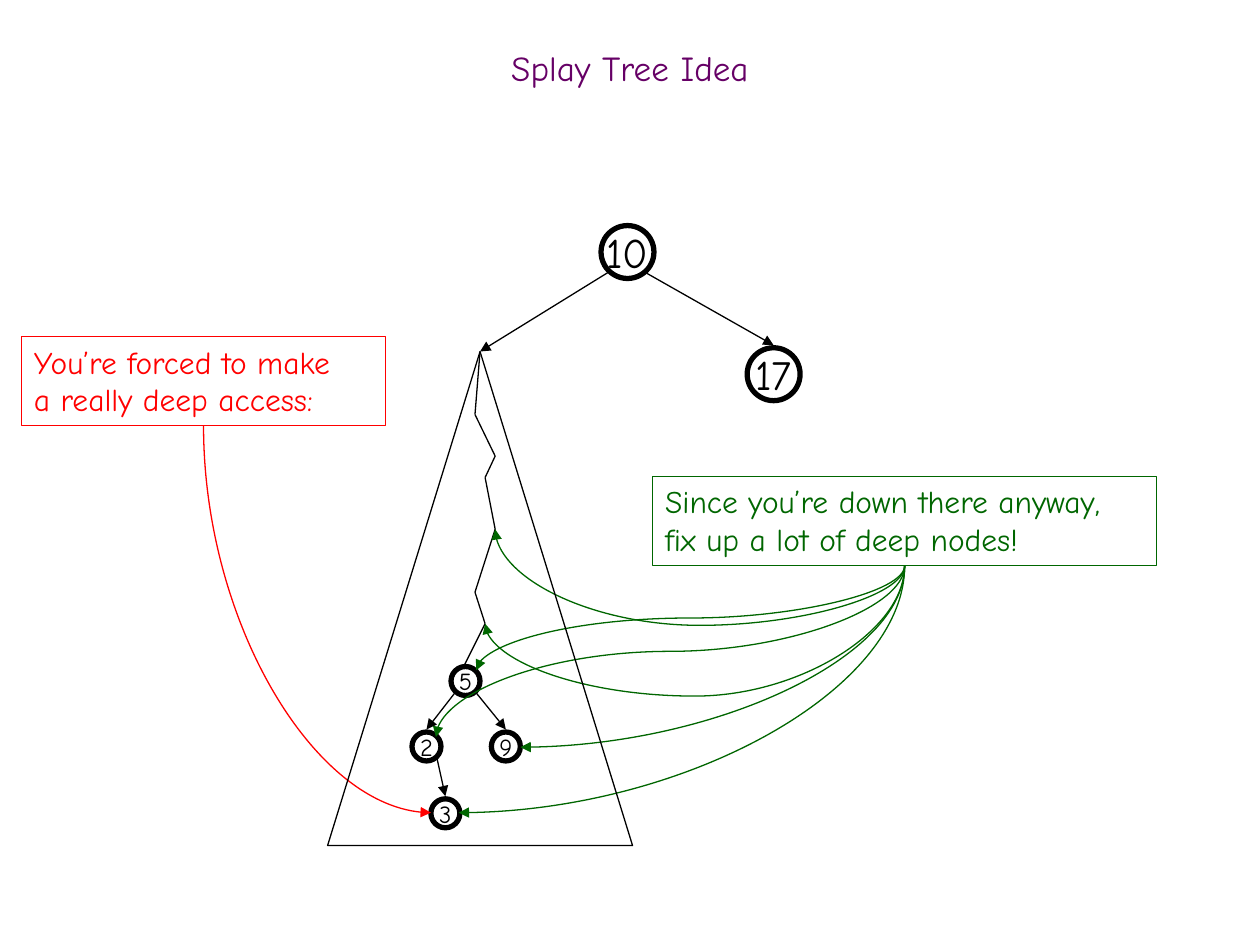
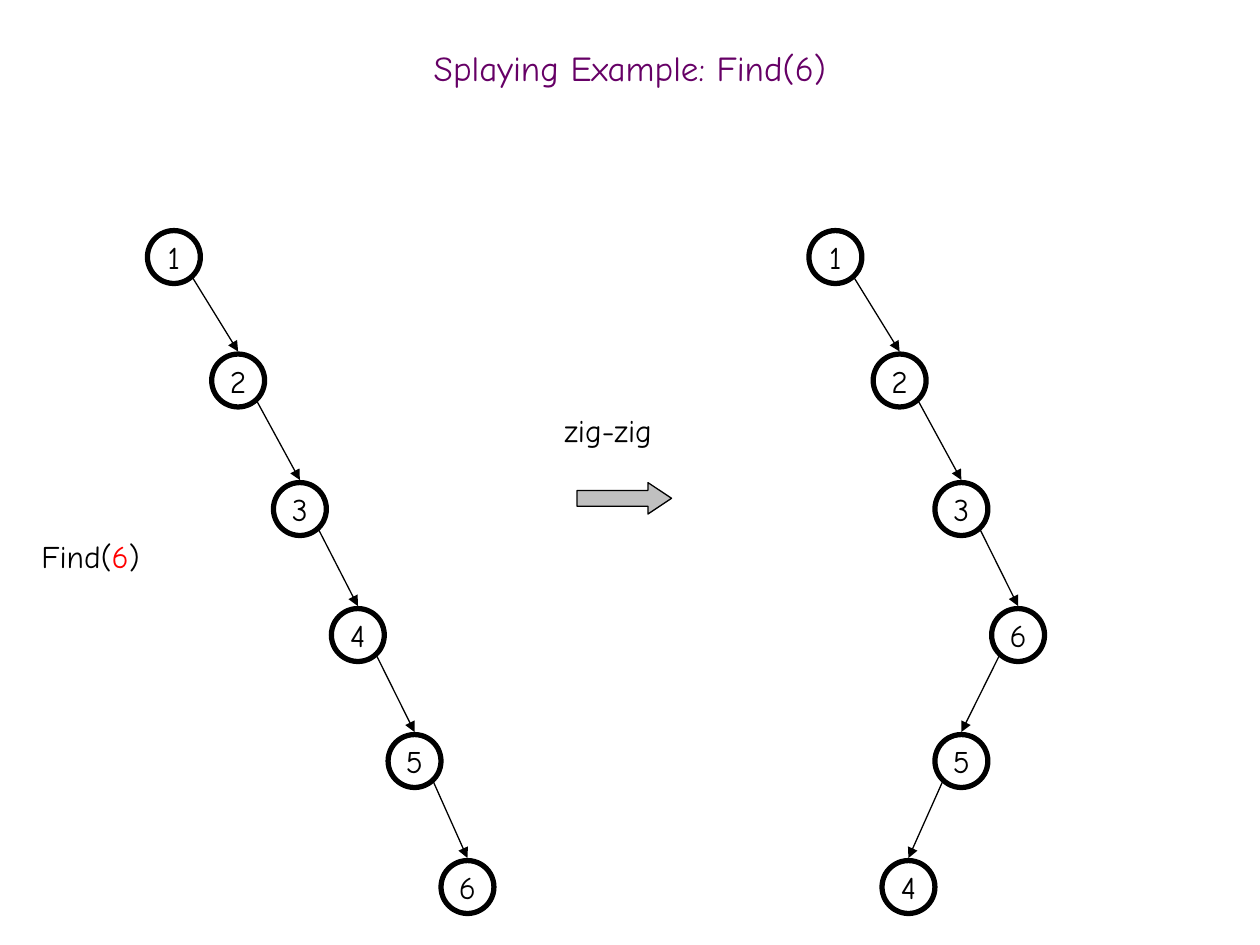
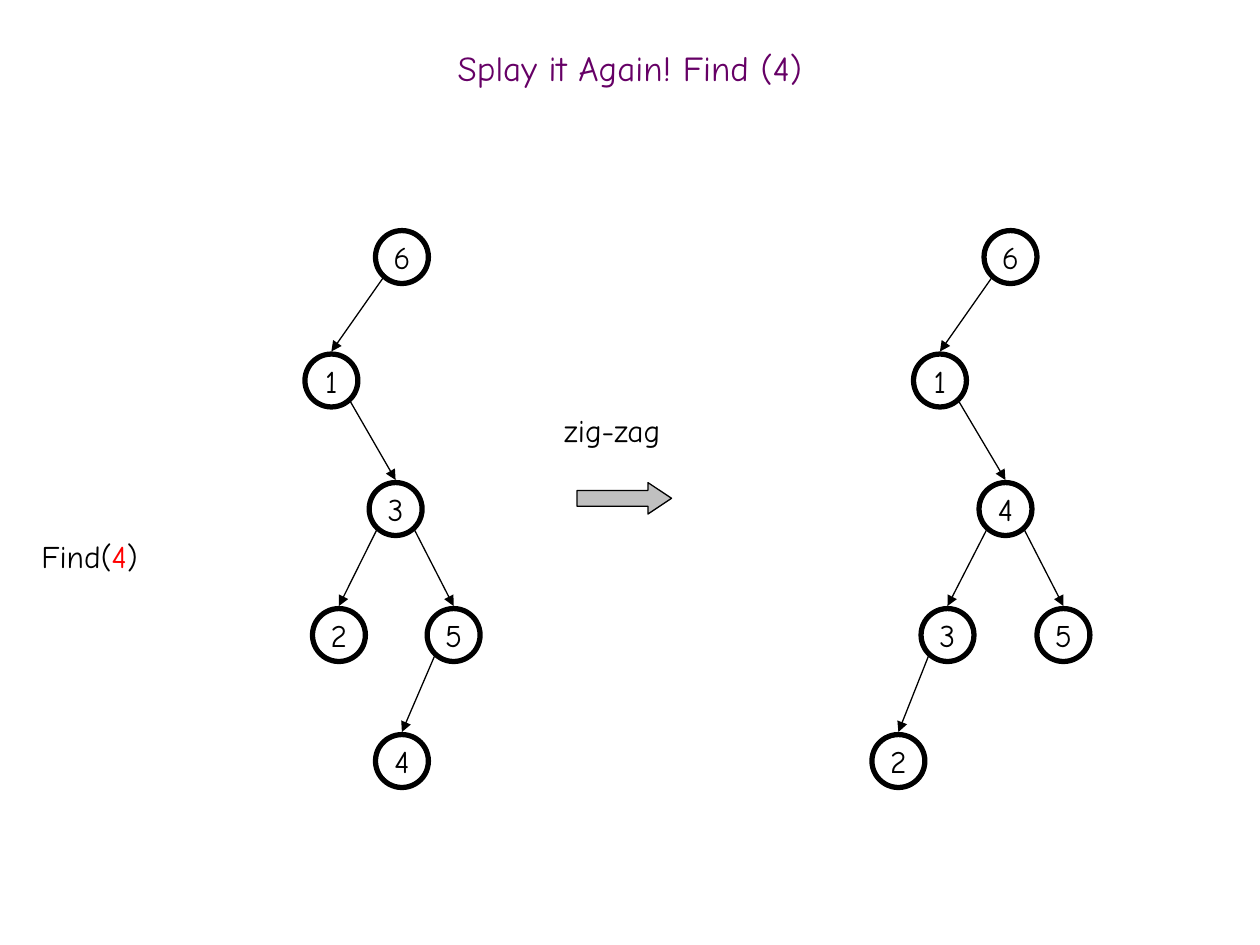
from dataclasses import dataclass
from itertools import pairwise
from typing import Optional

from lxml.etree import SubElement
from pptx import Presentation
from pptx.dml.color import RGBColor
from pptx.enum.shapes import MSO_CONNECTOR, MSO_SHAPE
from pptx.enum.text import MSO_ANCHOR, MSO_AUTO_SIZE, PP_ALIGN
from pptx.oxml.ns import qn
from pptx.util import Inches, Pt

# Shared style
FONT = "Comic Neue"
BLACK = RGBColor(0x00, 0x00, 0x00)
PURPLE = RGBColor(0x66, 0x00, 0x66)
RED = RGBColor(0xFF, 0x00, 0x00)
GREEN = RGBColor(0x00, 0x66, 0x00)
GREY = RGBColor(0xC0, 0xC0, 0xC0)
THIN, THICK = Pt(0.75), Pt(3)
BIG, SMALL = 0.42, 0.23  # node diameters
LEVELS = [1.83, 2.81, 3.83, 4.83, 5.83, 6.83]  # node tops by depth
Point = tuple[float, float]


@dataclass(frozen=True)
class Node:
    label: str
    left: float
    top: float
    parent: Optional[int] = None  # position of the parent in its tree
    size: float = BIG
    font_size: int = 18

    @property
    def center(self) -> Point:
        return self.left + self.size / 2, self.top + self.size / 2


@dataclass(frozen=True)
class Note:
    lines: str
    left: float
    top: float
    width: float
    color: RGBColor
    height: float = 0.71

    @property
    def bottom(self) -> Point:
        return self.left + self.width / 2, self.top + self.height


@dataclass(frozen=True)
class SplayStep:
    title: str
    key: str
    rotation: str
    rotation_width: float
    before: list[Node]
    after: list[Node]


# Drawing functions
def format_run(r, size: int, color: RGBColor) -> None:
    r.font.name = FONT
    r.font.size = Pt(size)
    r.font.color.rgb = color


def add_title_slide(prs, title: str):
    s = prs.slides.add_slide(prs.slide_layouts[5])
    sp = s.shapes.title
    sp.left, sp.top, sp.width, sp.height = Inches(0), Inches(0.33), Inches(10), Inches(0.5)
    tf = sp.text_frame
    tf.text = title
    tf.vertical_anchor = MSO_ANCHOR.MIDDLE
    p = tf.paragraphs[0]
    p.alignment = PP_ALIGN.CENTER
    p.line_spacing = 0.7
    format_run(p.runs[0], 20, PURPLE)
    return s


def add_outline(s, kind, left: float, top: float, width: float, height: float,
                color: RGBColor = BLACK, weight=THIN):
    sp = s.shapes.add_shape(kind, Inches(left), Inches(top), Inches(width), Inches(height))
    sp.shadow.inherit = False
    sp.fill.background()
    sp.line.color.rgb = color
    sp.line.width = weight
    return sp


def style_connector(cn, color: RGBColor, arrow: bool) -> None:
    cn.line.color.rgb = color
    cn.line.width = THIN
    if arrow:
        SubElement(cn.line._get_or_add_ln(), qn("a:tailEnd"), type="triangle")
    SubElement(cn._element.spPr, qn("a:effectLst"))


def add_line(s, start: Point, end: Point, arrow: bool = True) -> None:
    cn = s.shapes.add_connector(MSO_CONNECTOR.STRAIGHT, *map(Inches, start + end))
    style_connector(cn, BLACK, arrow)


def add_curve(s, start: Point, end: Point, color: RGBColor,
              bend: Optional[float] = None) -> None:
    """Curve that leaves vertically; with a bend it also arrives vertically."""
    dx, dy = end[0] - start[0], end[1] - start[1]
    mid_x, mid_y = start[0] + dx / 2, start[1] + dy / 2
    # The frame is turned a quarter, so width and height change places
    left, right = mid_x - abs(dy) / 2, mid_x + abs(dy) / 2
    top, bottom = mid_y - abs(dx) / 2, mid_y + abs(dx) / 2
    if (dx < 0) == (dy < 0):
        left, right = right, left
    cn = s.shapes.add_connector(MSO_CONNECTOR.CURVE, *map(Inches, (left, top, right, bottom)))
    spPr = cn._element.spPr
    spPr.find(qn("a:xfrm")).set("rot", str((90 if dx < 0 else 270) * 60000))
    geom = spPr.find(qn("a:prstGeom"))
    if bend is None:
        geom.set("prst", "curvedConnector2")
    else:
        guides = geom.find(qn("a:avLst"))
        SubElement(guides, qn("a:gd"), name="adj1", fmla=f"val {round(bend * 100000)}")
    style_connector(cn, color, True)


def add_node(s, node: Node) -> None:
    sp = add_outline(s, MSO_SHAPE.OVAL, node.left, node.top, node.size, node.size, weight=THICK)
    tf = sp.text_frame
    tf.text = node.label
    tf.word_wrap = False
    tf.vertical_anchor = MSO_ANCHOR.MIDDLE
    p = tf.paragraphs[0]
    p.alignment = PP_ALIGN.CENTER
    format_run(p.runs[0], node.font_size, BLACK)


def add_tree(s, tree: list[Node]) -> None:
    for node in tree:
        add_node(s, node)
        if node.parent is not None:
            parent = tree[node.parent]
            x, y = parent.center
            side = 1 if node.center[0] > x else -1
            start = x + side * 0.36 * parent.size, y + 0.4 * parent.size
            add_line(s, start, (node.center[0], node.top - 0.02))


def add_note(s, note: Note) -> None:
    sp = add_outline(s, MSO_SHAPE.RECTANGLE, note.left, note.top, note.width, note.height,
                     note.color)
    tf = sp.text_frame
    tf.text = note.lines
    tf.word_wrap = False
    tf.auto_size = MSO_AUTO_SIZE.SHAPE_TO_FIT_TEXT
    tf.vertical_anchor = MSO_ANCHOR.TOP
    for p in tf.paragraphs:
        p.alignment = PP_ALIGN.LEFT
        format_run(p.runs[0], 18, note.color)


def add_label(s, left: float, top: float, width: float, parts: list[tuple[str, RGBColor]]) -> None:
    sp = s.shapes.add_textbox(Inches(left), Inches(top), Inches(width), Inches(0.4))
    tf = sp.text_frame
    tf.word_wrap = False
    tf.auto_size = MSO_AUTO_SIZE.SHAPE_TO_FIT_TEXT
    for text, color in parts:
        r = tf.paragraphs[0].add_run()
        r.text = text
        format_run(r, 18, color)


# Slide 1: the idea
TOP_TREE = [
    Node("10", 4.77, 1.79, font_size=24),
    Node("17", 5.93, 2.76, 0, font_size=24),
]
DEEP_TREE = [
    Node("5", 3.58, 5.29, None, SMALL, 14),
    Node("2", 3.27, 5.81, 0, SMALL, 14),
    Node("9", 3.9, 5.81, 0, SMALL, 14),
    Node("3", 3.42, 6.34, 1, SMALL, 14),
]
ACCESS_PATH = [(3.81, 2.79), (3.77, 3.29), (3.93, 3.62), (3.85, 3.79),
               (3.93, 4.2), (3.77, 4.7), (3.85, 4.95), (3.68, 5.29)]
ACCESS_NOTE = Note("You’re forced to make\na really deep access:", 0.17, 2.67, 2.89, RED)
FIX_NOTE = Note("Since you’re down there anyway,\nfix up a lot of deep nodes!",
                5.18, 3.78, 4, GREEN)
FIXED_NODES = [  # arrow tip and bend
    ((3.64, 6.45), None),
    ((3.46, 5.85), 0.5),
    ((4.13, 5.93), None),
    ((3.78, 5.32), 0.5),
    ((3.85, 4.95), 2.25),
    ((3.93, 4.2), -1.63),
]


def build_idea(prs) -> None:
    s = add_title_slide(prs, "Splay Tree Idea")
    add_tree(s, TOP_TREE)
    add_line(s, (4.83, 2.16), ACCESS_PATH[0])
    add_tree(s, DEEP_TREE)
    add_note(s, ACCESS_NOTE)
    add_curve(s, ACCESS_NOTE.bottom, (3.42, 6.45), RED)
    for start, end in pairwise(ACCESS_PATH):
        add_line(s, start, end, arrow=False)
    add_note(s, FIX_NOTE)
    for tip, bend in FIXED_NODES:
        add_curve(s, FIX_NOTE.bottom, tip, GREEN, bend)
    add_outline(s, MSO_SHAPE.ISOSCELES_TRIANGLE, 2.6, 2.79, 2.42, 3.92)


# Slides 2 and 3: one splaying step each
STEPS = [
    SplayStep(
        "Splaying Example: Find(6)", "6", "zig-zig", 0.98,
        before=[
            Node("1", 1.17, LEVELS[0]),
            Node("2", 1.68, LEVELS[1], 0),
            Node("3", 2.17, LEVELS[2], 1),
            Node("4", 2.63, LEVELS[3], 2),
            Node("5", 3.08, LEVELS[4], 3),
            Node("6", 3.5, LEVELS[5], 4),
        ],
        after=[
            Node("1", 6.42, LEVELS[0]),
            Node("2", 6.93, LEVELS[1], 0),
            Node("3", 7.42, LEVELS[2], 1),
            Node("6", 7.87, LEVELS[3], 2),
            Node("5", 7.42, LEVELS[4], 3),
            Node("4", 7, LEVELS[5], 4),
        ],
    ),
    SplayStep(
        "Splay it Again! Find (4)", "4", "zig-zag", 1.04,
        before=[
            Node("6", 2.98, LEVELS[0]),
            Node("1", 2.42, LEVELS[1], 0),
            Node("3", 2.93, LEVELS[2], 1),
            Node("2", 2.48, LEVELS[3], 2),
            Node("5", 3.39, LEVELS[3], 2),
            Node("4", 2.98, LEVELS[4], 4),
        ],
        after=[
            Node("6", 7.81, LEVELS[0]),
            Node("1", 7.25, LEVELS[1], 0),
            Node("4", 7.77, LEVELS[2], 1),
            Node("3", 7.31, LEVELS[3], 2),
            Node("5", 8.23, LEVELS[3], 2),
            Node("2", 6.92, LEVELS[4], 3),
        ],
    ),
]


def build_step(prs, step: SplayStep) -> None:
    s = add_title_slide(prs, step.title)
    add_tree(s, step.before)
    add_label(s, 0.23, 4.21, 1.05, [("Find(", BLACK), (step.key, RED), (")", BLACK)])
    add_label(s, 4.38, 3.21, step.rotation_width, [(step.rotation, BLACK)])
    arrow = add_outline(s, MSO_SHAPE.RIGHT_ARROW, 4.58, 3.83, 0.75, 0.25)
    arrow.adjustments[1] = 0.75
    arrow.fill.solid()
    arrow.fill.fore_color.rgb = GREY
    add_tree(s, step.after)


def main() -> None:
    prs = Presentation()
    prs.slide_width, prs.slide_height = Inches(10), Inches(7.5)
    build_idea(prs)
    for step in STEPS:
        build_step(prs, step)
    prs.save("out.pptx")


if __name__ == "__main__":
    main()
